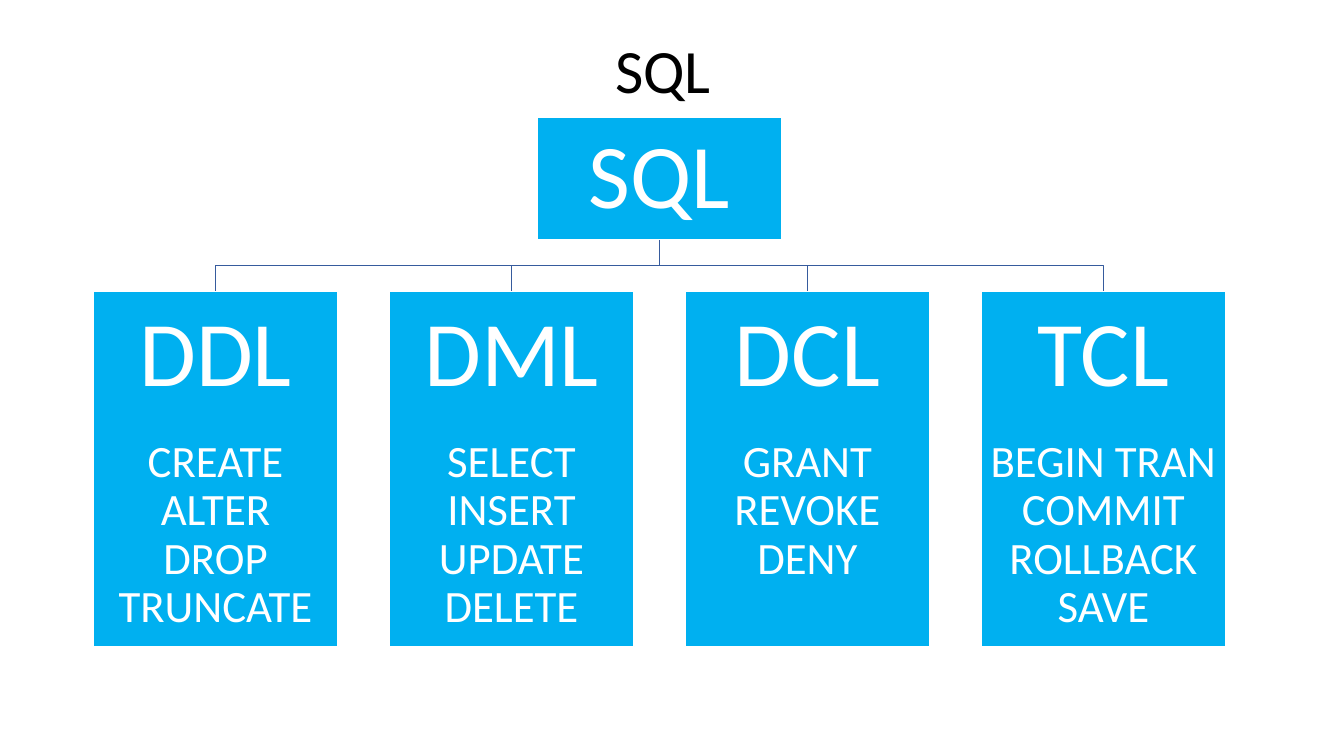
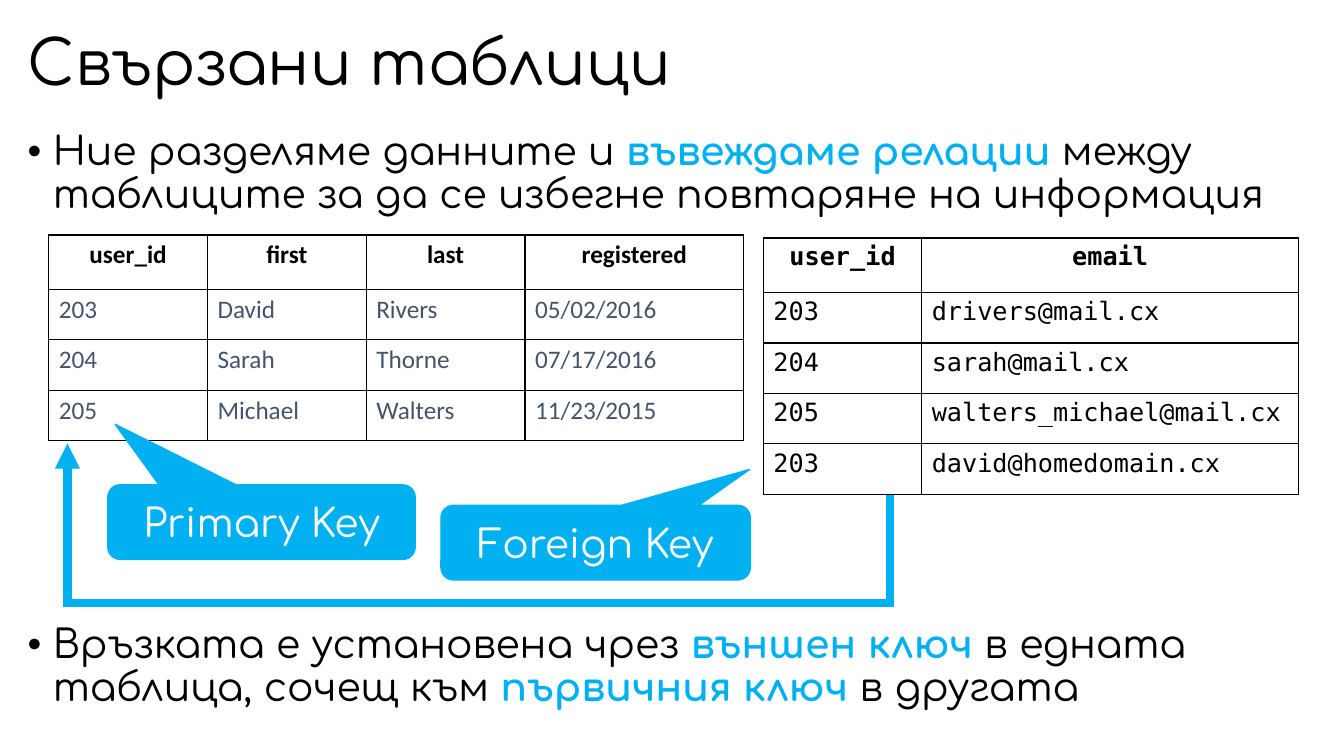
"""Build two slides: the SQL language families and related tables."""
from dataclasses import dataclass

from lxml.etree import SubElement
from pptx import Presentation
from pptx.dml.color import RGBColor
from pptx.enum.shapes import MSO_CONNECTOR, MSO_SHAPE
from pptx.enum.text import MSO_ANCHOR, MSO_AUTO_SIZE, PP_ALIGN
from pptx.oxml.ns import qn
from pptx.util import Pt


@dataclass(frozen=True)
class Theme:
    accent: RGBColor = RGBColor(0x00, 0xB0, 0xF0)
    black: RGBColor = RGBColor(0x00, 0x00, 0x00)
    white: RGBColor = RGBColor(0xFF, 0xFF, 0xFF)
    slate: RGBColor = RGBColor(0x44, 0x54, 0x6A)
    branch: RGBColor = RGBColor(0x36, 0x5B, 0x9D)
    plain: str = "Calibri"
    rounded: str = "Comfortaa"
    mono: str = "DejaVu Sans Mono"
    title: int = 44
    root: int = 65
    family: int = 66
    command: int = 32
    body: int = 28
    cell: int = 18


theme = Theme()


def add_run(paragraph, text, font, size, color, bold=False):
    run = paragraph.add_run()
    run.text = text
    run.font.name = font
    run.font.size = Pt(size)
    run.font.color.rgb = color
    run.font.bold = bold


def paint(shape, fill, outline):
    shape.shadow.inherit = False
    if fill is None:
        shape.fill.background()
    else:
        shape.fill.solid()
        shape.fill.fore_color.rgb = fill
    shape.line.color.rgb = outline
    shape.line.width = Pt(1)


deck = Presentation()
deck.slide_width, deck.slide_height = Pt(960), Pt(540)

slides = []
for heading, font, align, frame in (
    ("SQL", theme.plain, PP_ALIGN.CENTER, (13.5, 8.5, 920, 88)),
    ("Свързани таблици", theme.rounded, PP_ALIGN.LEFT, (12.5, 3, 754, 88)),
):
    slide = deck.slides.add_slide(deck.slide_layouts[5])
    title = slide.shapes.title
    title.left, title.top, title.width, title.height = map(Pt, frame)
    title.text_frame.auto_size = MSO_AUTO_SIZE.NONE
    title.text_frame.vertical_anchor = MSO_ANCHOR.MIDDLE
    paragraph = title.text_frame.paragraphs[0]
    paragraph.alignment = align
    paragraph.line_spacing = 0.9
    add_run(paragraph, heading, font, theme.title, theme.black)
    slides.append(slide)
families_slide, relations_slide = slides

families = (
    ("DDL", ("CREATE", "ALTER", "DROP", "TRUNCATE")),
    ("DML", ("SELECT", "INSERT", "UPDATE", "DELETE")),
    ("DCL", ("GRANT", "REVOKE", "DENY")),
    ("TCL", ("BEGIN TRAN", "COMMIT", "ROLLBACK", "SAVE")),
)
first_left, box_width, pitch = 66.5, 175, 211.4
root_bottom, bar_y, family_top = 171.5, 189.8, 208
centers = [first_left + box_width / 2 + pitch * i for i in range(len(families))]
root_center = (centers[0] + centers[-1]) / 2

for center in reversed(centers):
    outline = families_slide.shapes.build_freeform(Pt(root_center), Pt(root_bottom))
    corners = ((root_center, bar_y), (center, bar_y), (center, family_top))
    outline.add_line_segments([(Pt(x), Pt(y)) for x, y in corners], close=False)
    paint(outline.convert_to_shape(), None, theme.branch)

nodes = [(root_center, 84, 87, MSO_ANCHOR.MIDDLE, 5, [("SQL", theme.root)])]
for center, (family, commands) in zip(centers, families):
    lines = [(family, theme.family)] + [(command, theme.command) for command in commands]
    nodes.append((center, family_top, 254, MSO_ANCHOR.TOP, 11, lines))

for center, top, height, anchor, inset, lines in nodes:
    box = families_slide.shapes.add_shape(
        MSO_SHAPE.RECTANGLE, Pt(center - box_width / 2), Pt(top), Pt(box_width), Pt(height))
    paint(box, theme.accent, theme.white)
    frame = box.text_frame
    frame.word_wrap = True
    frame.vertical_anchor = anchor
    frame.margin_left = frame.margin_right = frame.margin_bottom = Pt(3.6)
    frame.margin_top = Pt(inset)
    for index, (text, size) in enumerate(lines):
        paragraph = frame.add_paragraph() if index else frame.paragraphs[0]
        paragraph.alignment = PP_ALIGN.CENTER
        paragraph.line_spacing = 0.9
        paragraph.space_before = Pt(0)
        paragraph.space_after = Pt(23 if size == theme.family else 0)
        add_run(paragraph, text, theme.plain, size, theme.white)

statements = (
    (10, (("Ние разделяме данните и ", False), ("въвеждаме релации ", True),
          ("между таблиците за да се избегне повтаряне на информация", False))),
    (291.5, (("Връзката е установена чрез ", False), ("външен ключ ", True),
             ("в едната таблица, сочещ към ", False), ("първичния ключ ", True),
             ("в другата", False))),
)
body = relations_slide.shapes.add_textbox(Pt(12.6), Pt(90.8), Pt(929.5), Pt(438.5)).text_frame
body.word_wrap = True
for index, (gap, pieces) in enumerate(statements):
    paragraph = body.add_paragraph() if index else body.paragraphs[0]
    paragraph.line_spacing = 0.9
    paragraph.space_before = Pt(gap)
    properties = paragraph._p.get_or_add_pPr()
    properties.set("marL", str(Pt(18)))
    properties.set("indent", str(-Pt(18)))
    SubElement(properties, qn("a:buFont"), typeface="Arial")
    SubElement(properties, qn("a:buChar"), char="•")
    for text, key in pieces:
        add_run(paragraph, text, theme.rounded, theme.body, theme.accent if key else theme.black, key)

key_link = relations_slide.shapes.add_connector(
    MSO_CONNECTOR.ELBOW, Pt(360), Pt(41), Pt(324), Pt(628.5))
key_link.line.color.rgb = theme.accent
key_link.line.width = Pt(6)
link_properties = key_link._element.spPr
link_properties.find(qn("a:xfrm")).set("rot", "5400000")
bends = link_properties.find(qn("a:prstGeom")).find(qn("a:avLst"))
SubElement(bends, qn("a:gd"), name="adj1", fmla="val -216600")
stroke = link_properties.find(qn("a:ln"))
SubElement(stroke, qn("a:miter"), lim="800000")
SubElement(stroke, qn("a:tailEnd"), type="triangle")
SubElement(link_properties, qn("a:effectLst"))

tables = (
    (34.8, 167.8, (113.4, 113.4, 113.4, 156.2), theme.plain, theme.slate, (
        ("user_id", "first", "last", "registered"),
        ("203", "David", "Rivers", "05/02/2016"),
        ("204", "Sarah", "Thorne", "07/17/2016"),
        ("205", "Michael", "Walters", "11/23/2015"),
    )),
    (545.3, 170, (113.1, 269.2), theme.mono, theme.black, (
        ("user_id", "email"),
        ("203", "drivers@mail.cx"),
        ("204", "sarah@mail.cx"),
        ("205", "walters_michael@mail.cx"),
        ("203", "david@homedomain.cx"),
    )),
)
for left, top, widths, font, ink, records in tables:
    heights = [39] + [36] * (len(records) - 1)
    table = relations_slide.shapes.add_table(
        len(records), len(widths), Pt(left), Pt(top), Pt(sum(widths)), Pt(sum(heights))).table
    table.horz_banding = False
    for column, width in zip(table.columns, widths):
        column.width = Pt(width)
    for row_index, (row, height, record) in enumerate(zip(table.rows, heights, records)):
        row.height = Pt(height)
        header = row_index == 0
        for cell, text in zip(row.cells, record):
            cell.margin_left = cell.margin_right = Pt(12 if header else 7.2)
            paragraph = cell.text_frame.paragraphs[0]
            paragraph.alignment = PP_ALIGN.CENTER if header else PP_ALIGN.LEFT
            paragraph.line_spacing = 0.95 if header else 1.0
            add_run(paragraph, text, font, theme.cell, theme.black if header else ink, header)
            cell_properties = cell._tc.get_or_add_tcPr()
            for side in ("a:lnL", "a:lnR", "a:lnT", "a:lnB"):
                border = SubElement(cell_properties, qn(side), w=str(Pt(1)))
                border_fill = SubElement(border, qn("a:solidFill"))
                SubElement(border_fill, qn("a:srgbClr"), val=str(theme.black))
            cell.fill.background()

for label, frame, pointer in (
    ("Primary Key", (77, 346.3, 219.6, 53.3), (-0.476, -1.312, 0.167)),
    ("Foreign Key", (315, 361, 221, 53.3), (0.497, -0.98, 0.167)),
):
    callout = relations_slide.shapes.add_shape(MSO_SHAPE.ROUNDED_RECTANGULAR_CALLOUT, *map(Pt, frame))
    for index, value in enumerate(pointer):
        callout.adjustments[index] = value
    paint(callout, theme.accent, theme.accent)
    callout.text_frame.word_wrap = False
    callout.text_frame.vertical_anchor = MSO_ANCHOR.MIDDLE
    paragraph = callout.text_frame.paragraphs[0]
    paragraph.alignment = PP_ALIGN.CENTER
    add_run(paragraph, label, theme.rounded, theme.body, theme.white)

deck.save("out.pptx")
